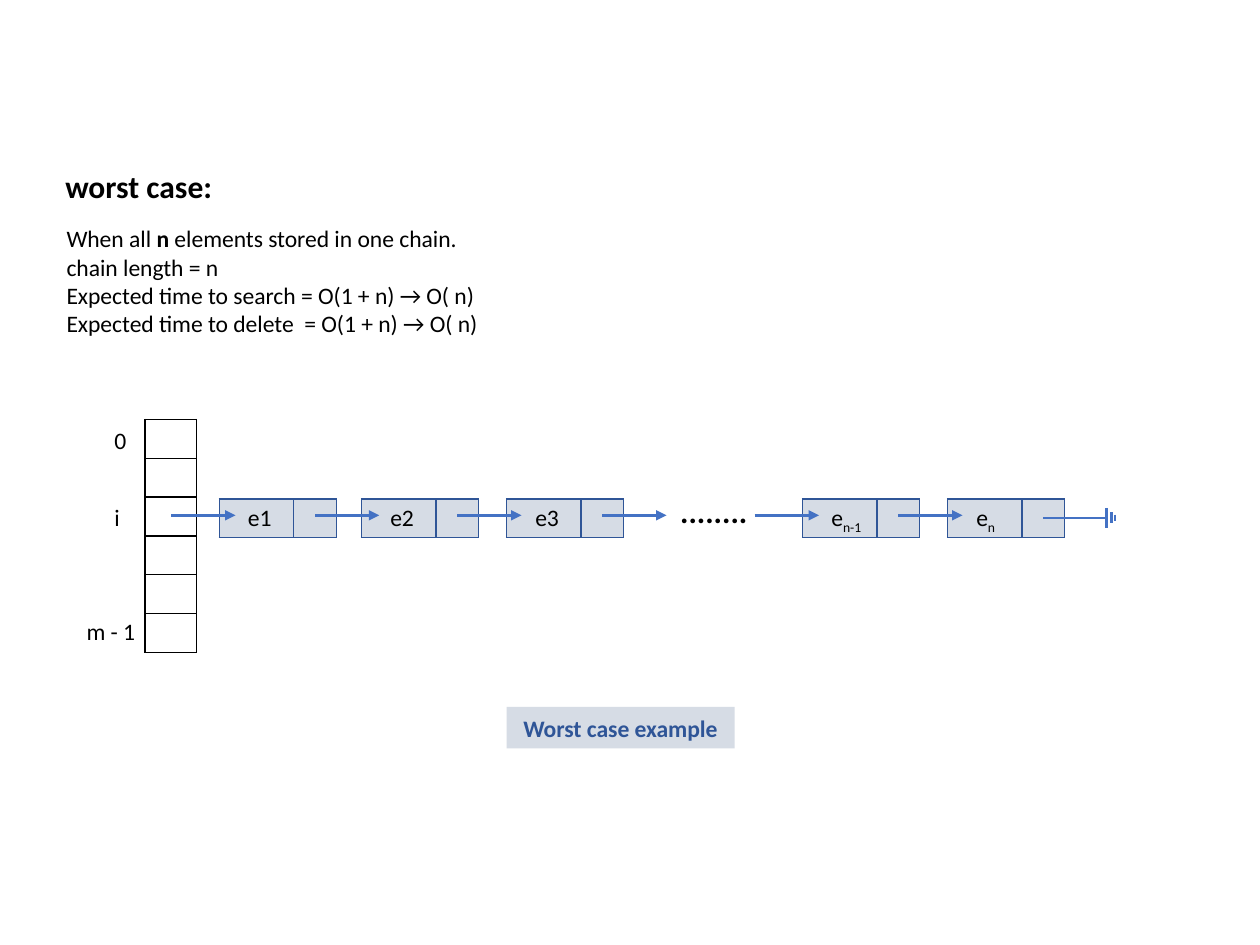
"""Draw the worst case of a chained hash table."""
from lxml import etree
from pptx import Presentation, util as u
from pptx.dml import color
from pptx.enum import shapes, text
from pptx.oxml import ns

hue = color.RGBColor.from_string
DARK, PALE, NAVY, BLUE = "000000", "D6DCE5", "2F5597", "4472C4"
BOLD, SUB = {"bold": True}, {"sub": True}
MID = text.PP_ALIGN.CENTER

deck = Presentation()
deck.slide_width, deck.slide_height = u.Inches(10), u.Inches(7.5)
slide = deck.slides.add_slide(deck.slide_layouts[6])
wide, high = deck.slide_width / 100, deck.slide_height / 75


def write(shape, paras, size=13.5, ink=DARK, align=None):
    frame = shape.text_frame
    look = {"word_wrap": True, "auto_size": text.MSO_AUTO_SIZE.SHAPE_TO_FIT_TEXT}
    for key, val in look.items():
        setattr(frame, key, val)
    for num, runs in enumerate(paras):
        para = frame.add_paragraph() if num else frame.paragraphs[0]
        para.alignment = align
        for words, form in runs:
            run = para.add_run()
            run.text = words
            base = {"name": "Calibri", "size": u.Pt(size), "bold": False}
            for key, val in {**base, **form}.items():
                if key == "sub":
                    run.font._element.set("baseline", "-25000")
                else:
                    setattr(run.font, key, val)
            run.font.color.rgb = hue(ink)


def grid(left, top, cols, rows, edge, fill=None):
    area = [int(v) for v in (left * wide, top * high, sum(cols) * wide, sum(rows) * high)]
    table = slide.shapes.add_table(len(rows), len(cols), *area).table
    for key in ("first_row", "horz_banding"):
        setattr(table, key, False)
    for col, size in zip(table.columns, cols):
        col.width = int(size * wide)
    for row, size in zip(table.rows, rows):
        row.height = int(size * high)
    for cell in table.iter_cells():
        for key in ("margin_top", "margin_bottom"):
            setattr(cell, key, 0)
        if fill:
            cell.fill.solid()
            cell.fill.fore_color.rgb = hue(fill)
        else:
            cell.fill.background()
        props = cell._tc.get_or_add_tcPr()
        for spot, side in enumerate(("lnL", "lnR", "lnT", "lnB")):
            line = etree.Element(ns.qn("a:" + side), w=str(u.Pt(1)))
            paint = etree.SubElement(line, ns.qn("a:solidFill"))
            etree.SubElement(paint, ns.qn("a:srgbClr"), val=edge)
            props.insert(spot, line)


nodes = [
    (17.4, 4, [("e1", {})]),
    (28.7, 4, [("e2", {})]),
    (40.2, 4, [("e3", {})]),
    (63.7, 5.1, [("e", {}), ("n-1", SUB)]),
    (75.2, 4, [("e", {}), ("n", SUB)]),
]
grid(11.5, 33.3, [4.1], [3.08] * 6, DARK)
for left, span, runs in nodes:
    grid(left, 39.6, [5.9, 3.4], [3.08], NAVY, PALE)

notes = [
    [("When all ", {}), ("n", BOLD), (" elements stored in one chain.", {})],
    [("chain length = n", {})],
    [("Expected time to search = O(1 + n) → O( n)", {})],
    [("Expected time to delete  = O(1 + n) → O( n)", {})],
]
boxes = [
    (4.3, 17.3, 53.4, 10.1, notes, {}),
    (4.2, 12.8, 39.1, 4, [[("worst case:", BOLD)]], {"size": 18}),
    (5.8, 48.5, 6, 3.3, [[("m - 1", {})]], {"align": MID}),
    (8.1, 39.4, 3.5, 3.3, [[("i", {})]], {}),
    (8.1, 33.3, 3.5, 3.3, [[("0", {})]], {}),
    (53, 38.6, 7.6, 4, [[("........", BOLD)]], {"size": 18}),
]
boxes += [(left + 1.3, 39.4, span, 3.3, [runs], {}) for left, span, runs in nodes]
for left, top, span, tall, paras, form in boxes:
    area = [int(v) for v in (left * wide, top * high, span * wide, tall * high)]
    write(slide.shapes.add_textbox(*area), paras, **form)

label = slide.shapes.add_shape(
    shapes.MSO_SHAPE.RECTANGLE,
    *[int(v) for v in (40.2 * wide, 56.1 * high, 18.1 * wide, 3.3 * high)])
label.shadow.inherit = False
label.fill.solid()
label.fill.fore_color.rgb = hue(PALE)
label.line.fill.background()
write(label, [[("Worst case example", BOLD)]], ink=NAVY, align=MID)

ground = slide.shapes.add_group_shape()
starts = [13.6, 59.9] + [left + 7.6 for left, span, runs in nodes[:-1]]
lines = [(slide, x, 40.9, x + 5.1, 40.9) for x in starts]
lines.append((ground, 82.8, 41.1, 87.8, 41.1))
lines += [(ground, x, 41.1 - half, x, 41.1 + half)
          for x, half in ((87.8, 0.8), (88.2, 0.45), (88.5, 0.25))]
for home, *ends in lines:
    ends = [int(v * unit) for v, unit in zip(ends, (wide, high, wide, high))]
    link = home.shapes.add_connector(shapes.MSO_CONNECTOR.STRAIGHT, *ends)
    link.line.color.rgb = hue(BLUE)
    link.line.width = u.Pt(1.5)
    if home is slide:
        etree.SubElement(link.line._get_or_add_ln(), ns.qn("a:tailEnd"), type="triangle")
    etree.SubElement(link._element.spPr, ns.qn("a:effectLst"))

deck.save("out.pptx")
